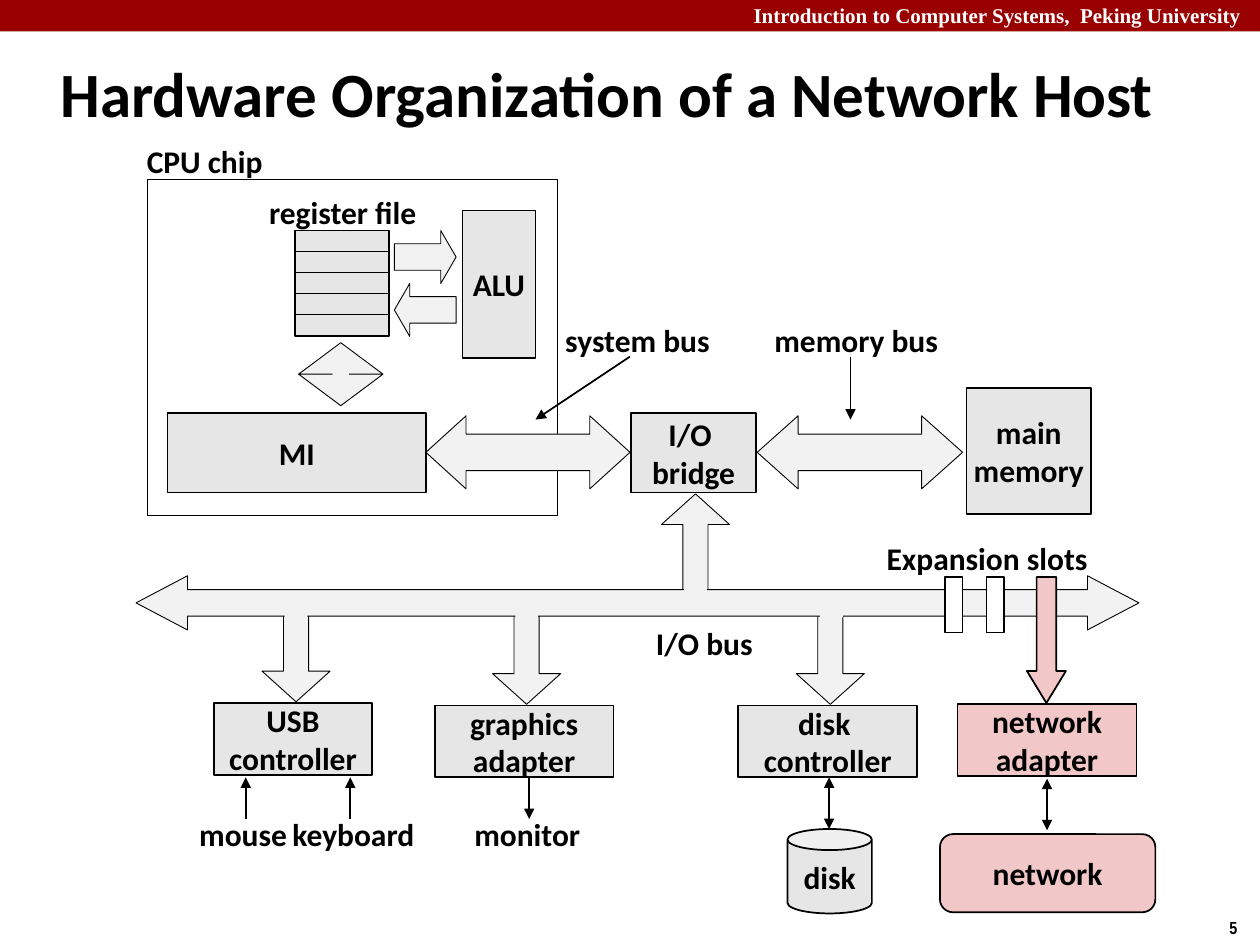
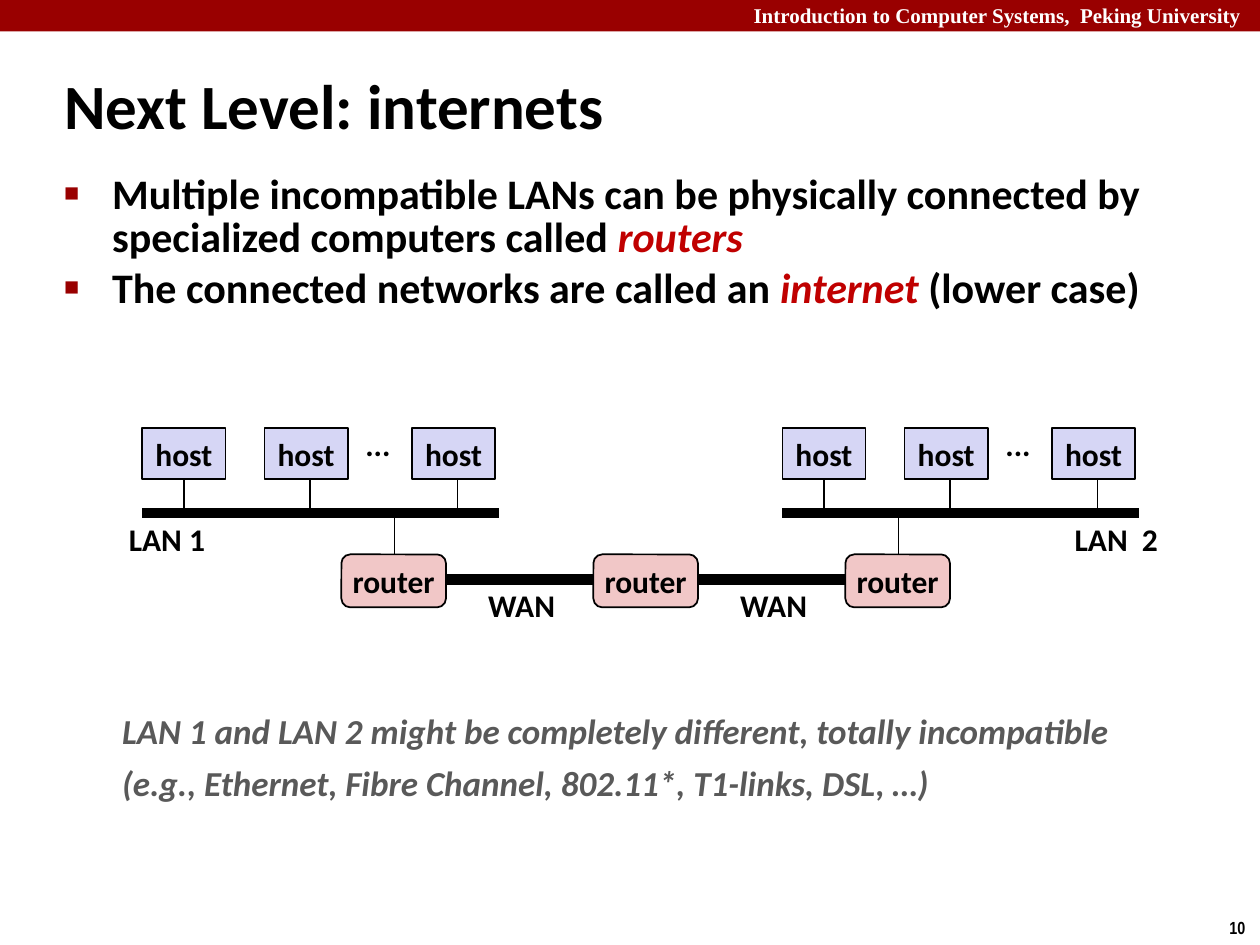
from lxml import etree
from pptx import Presentation
from pptx import util as u
from pptx.dml import color
from pptx.enum import shapes, text
from pptx.oxml import ns

KIND = shapes.MSO_SHAPE
ALIGN = text.PP_ALIGN
FIT = text.MSO_AUTO_SIZE
MIDDLE = text.MSO_ANCHOR.MIDDLE
BLACK, WHITE, CRIMSON, RED = "000000", "FFFFFF", "990000", "C00000"
GREY, PALE, PINK, LILAC, SLATE = "E6E6E6", "F2F2F2", "F1C7C7", "D6D6F5", "595959"
UP, BOTH = ("headEnd",), ("headEnd", "tailEnd")
DOWN = ("tailEnd",)


def rgb(value):
    return color.RGBColor.from_string(value)


def inch(value):
    return u.Cm(value * 2.54)


def apply(target, values):
    for name, value in values.items():
        setattr(target, name, value)


class Deck:
    label_font = {"name": "Calibri", "size": u.Pt(18), "bold": True, "italic": False}
    label_frame = {"word_wrap": False, "vertical_anchor": MIDDLE}

    def __init__(self):
        self.file = Presentation()
        apply(self.file, {"slide_width": inch(10), "slide_height": inch(7.5)})
        self.slide = None

    def start(self, layout, number, heading, at):
        self.slide = self.file.slides.add_slide(self.file.slide_layouts[layout])
        self.box((0, 0, 10, 0.25), fill=CRIMSON, line=None)
        self.label((4.75, -0.03, 5.24, 0.3),
                   ["Introduction to Computer Systems,  Peking University "],
                   {"name": "Times New Roman", "size": u.Pt(12)}, WHITE, ALIGN.RIGHT,
                   {"word_wrap": True, "vertical_anchor": text.MSO_ANCHOR.TOP})
        self.label((9.66, 7.23, 0.34, 0.27), [number],
                   {"name": "Arial Narrow", "size": u.Pt(10)}, align=ALIGN.LEFT)
        self.placeholder(self.slide.shapes.title, at, [heading], 36, MIDDLE)

    def add_lines(self, frame, lines, font=None, ink=BLACK, align=ALIGN.CENTER):
        for index, line in enumerate(lines):
            paragraph = frame.paragraphs[0] if index == 0 else frame.add_paragraph()
            paragraph.alignment = align
            for part in [line] if isinstance(line, str) else line:
                words, emphasis = (part, False) if isinstance(part, str) else part
                run = paragraph.add_run()
                run.text = words
                apply(run.font, {**self.label_font, **(font or {})})
                run.font.color.rgb = rgb(RED if emphasis else ink)
                if emphasis:
                    run.font.italic = True

    def placeholder(self, holder, at, lines, size, anchor):
        apply(holder, dict(zip(("left", "top", "width", "height"), map(inch, at))))
        apply(holder.text_frame, {"word_wrap": True, "auto_size": FIT.NONE,
                                  "vertical_anchor": anchor})
        self.add_lines(holder.text_frame, lines, {"size": u.Pt(size)}, align=ALIGN.LEFT)
        return holder.text_frame

    def bullets(self, at, lines):
        holder = self.slide.placeholders[1]
        frame = self.placeholder(holder, at, lines, 24, text.MSO_ANCHOR.TOP)
        for paragraph in frame.paragraphs:
            paragraph.line_spacing = 0.85
            props = paragraph._p.get_or_add_pPr()
            props.set("marL", str(inch(0.38)))
            props.set("indent", str(inch(-0.38)))
            tint = etree.SubElement(props, ns.qn("a:buClr"))
            etree.SubElement(tint, ns.qn("a:srgbClr"), val=CRIMSON)
            etree.SubElement(props, ns.qn("a:buSzPct"), val="60000")
            etree.SubElement(props, ns.qn("a:buChar"), char="■")

    def label(self, at, lines, font=None, ink=BLACK, align=ALIGN.CENTER, frame=None):
        body = self.slide.shapes.add_textbox(*map(inch, at)).text_frame
        apply(body, {**self.label_frame, "auto_size": FIT.SHAPE_TO_FIT_TEXT,
                     **(frame or {})})
        self.add_lines(body, lines, font, ink, align)
        return body

    def box(self, at, lines=(), fill=GREY, line=1, kind=KIND.RECTANGLE, adjust=()):
        part = self.slide.shapes.add_shape(kind, *map(inch, at))
        part.shadow.inherit = False
        for index, value in enumerate(adjust):
            part.adjustments[index] = value
        if fill:
            part.fill.solid()
            part.fill.fore_color.rgb = rgb(fill)
        else:
            part.fill.background()
        if line:
            part.line.color.rgb = rgb(BLACK)
            part.line.width = u.Pt(line)
        else:
            part.line.fill.background()
        apply(part.text_frame, self.label_frame)
        self.add_lines(part.text_frame, lines)

    def arrow(self, at, kind, adjust):
        self.box(at, fill=PALE, line=0.5, kind=kind, adjust=adjust)

    def wire(self, x1, y1, x2, y2, width=1, ends=()):
        link = self.slide.shapes.add_connector(
            shapes.MSO_CONNECTOR.STRAIGHT, *map(inch, (x1, y1, x2, y2)))
        link.line.color.rgb = rgb(BLACK)
        link.line.width = u.Pt(width)
        for end in ends:
            etree.SubElement(link.line._get_or_add_ln(), ns.qn("a:" + end), type="triangle")
        etree.SubElement(link._element.spPr, ns.qn("a:effectLst"))


def hardware(deck):
    deck.start(5, "5", "Hardware Organization of a Network Host", (0.38, 0.31, 9.53, 0.85))
    deck.box((1.17, 1.42, 3.25, 2.67), fill=None, line=0.25)

    deck.box((7.67, 3.08, 0.99, 1), ["main", "memory"])
    deck.arrow((6.01, 3.3, 1.63, 0.58), KIND.LEFT_RIGHT_ARROW, (0.5, 0.56))
    deck.box((5.01, 3.28, 0.99, 0.63), ["I/O ", "bridge"])
    deck.arrow((3.38, 3.3, 1.62, 0.58), KIND.LEFT_RIGHT_ARROW, (0.5, 0.55))
    deck.box((1.33, 3.28, 2.05, 0.63), ["MI"])
    for register in range(5):
        deck.box((2.34, 1.83 + register / 6, 0.75, 0.17))
    deck.arrow((3.13, 1.83, 0.49, 0.42), KIND.RIGHT_ARROW, (0.5, 0.29))
    deck.arrow((3.13, 2.25, 0.49, 0.42), KIND.LEFT_ARROW, (0.5, 0.29))
    deck.box((3.67, 1.67, 0.58, 1.17), ["ALU"])
    deck.arrow((2.37, 2.72, 0.67, 0.5), KIND.UP_DOWN_ARROW, (0.5, 0.2))

    branch = (0.37, 0.45)
    deck.arrow((5.25, 3.92, 0.54, 0.83), KIND.UP_ARROW, branch)
    devices = [
        (2.08, 4.79, (1.7, 5.58, 1.25, 0.57), ["USB", "controller"]),
        (3.91, 4.81, (3.45, 5.6, 1.42, 0.57), ["graphics", "adapter"]),
        (6.32, 4.81, (5.86, 5.6, 1.42, 0.57), ["disk ", "controller"]),
    ]
    for left, top, place, name in devices:
        deck.arrow((left, top, 0.54, 0.78), KIND.DOWN_ARROW, branch)
        deck.box(place, name)
    deck.arrow((1.08, 4.57, 7.96, 0.43), KIND.LEFT_RIGHT_ARROW, (0.49, 0.95))
    for left, top in ((2.26, 4.76), (4.09, 4.74), (6.51, 4.73), (5.43, 4.67)):
        deck.box((left, top, 0.18, 0.17), fill=PALE, line=None)
    for slot in (7.5, 7.83):
        deck.box((slot, 4.58, 0.14, 0.44), fill=WHITE)
    deck.box((8.15, 4.58, 0.31, 1), fill=PINK, kind=KIND.DOWN_ARROW, adjust=(0.5, 0.82))
    deck.box((7.6, 5.59, 1.42, 0.57), ["network", "adapter"], PINK)
    deck.box((7.46, 6.62, 1.71, 0.62), ["network"], PINK, kind=KIND.ROUNDED_RECTANGLE)
    deck.box((6.25, 6.58, 0.67, 0.67), ["disk"], kind=KIND.CAN, adjust=(0.25,))

    deck.wire(5, 2.83, 4.25, 3.33, ends=DOWN)
    for x, top, bottom, ends in (
        (6.75, 2.83, 3.33, DOWN), (1.95, 6.17, 6.5, UP), (2.78, 6.17, 6.5, UP),
        (4.2, 6.17, 6.5, DOWN), (6.58, 6.17, 6.58, BOTH), (8.31, 6.18, 6.59, BOTH),
    ):
        deck.wire(x, top, x, bottom, ends=ends)

    for left, top, width, name in (
        (1.06, 1.08, 1.13, "CPU chip"), (2.03, 1.48, 1.38, "register file"),
        (4.38, 2.5, 1.36, "system bus"), (6.04, 2.5, 1.51, "memory bus"),
        (6.93, 4.23, 1.81, "Expansion slots"), (5.1, 4.9, 0.98, "I/O bus"),
        (1.48, 6.42, 0.9, "mouse"), (2.22, 6.42, 1.17, "keyboard"),
        (3.66, 6.42, 1.05, "monitor"),
    ):
        deck.label((left, top, width, 0.4), [name])


def internets(deck):
    deck.start(1, "10", "Next Level: internets", (0.41, 0.51, 7.05, 0.63))
    deck.bullets((0.41, 1.34, 9.09, 1.33), [
        ["Multiple incompatible LANs can be physically connected by "
         "specialized computers called ", ("routers", True)],
        ["The connected networks are called an ", ("internet ", True), "(lower case)"],
    ])

    for lan in (1.13, 6.21):
        deck.wire(lan, 4.07, lan + 2.83, 4.07, 6)
        for host, drop in ((0, 0.33), (0.97, 1.33), (2.14, 2.5)):
            deck.wire(lan + drop, 3.74, lan + drop, 4.07)
            deck.box((lan + host, 3.4, 0.66, 0.4), ["host"], LILAC)
        deck.label((lan + 1.67, 3.32, 0.4, 0.4), ["..."])
    deck.label((0.92, 4.08, 0.81, 0.4), ["LAN 1"])
    deck.label((8.42, 4.08, 0.88, 0.4), ["LAN  2"])

    for uplink in (3.13, 7.13):
        deck.wire(uplink, 4.07, uplink, 4.4)
    for wan in (3.46, 5.46):
        deck.wire(wan, 4.6, wan + 1.34, 4.6, 6)
        deck.label((wan + 0.31, 4.6, 0.74, 0.4), ["WAN"])
    for router in (2.71, 4.71, 6.71):
        deck.box((router, 4.4, 0.83, 0.42), ["router"], PINK, kind=KIND.ROUNDED_RECTANGLE)

    remark = deck.label(
        (0.87, 5.58, 8.88, 0.86),
        ["LAN 1 and LAN 2 might be completely different, totally incompatible",
         "(e.g., Ethernet, Fibre Channel, 802.11*, T1-links, DSL, …)"],
        {"size": u.Pt(20), "italic": True}, SLATE, ALIGN.LEFT,
        {"word_wrap": True, "vertical_anchor": text.MSO_ANCHOR.TOP})
    remark.paragraphs[1].space_before = u.Pt(6)


deck = Deck()
hardware(deck)
internets(deck)
deck.file.save("out.pptx")
